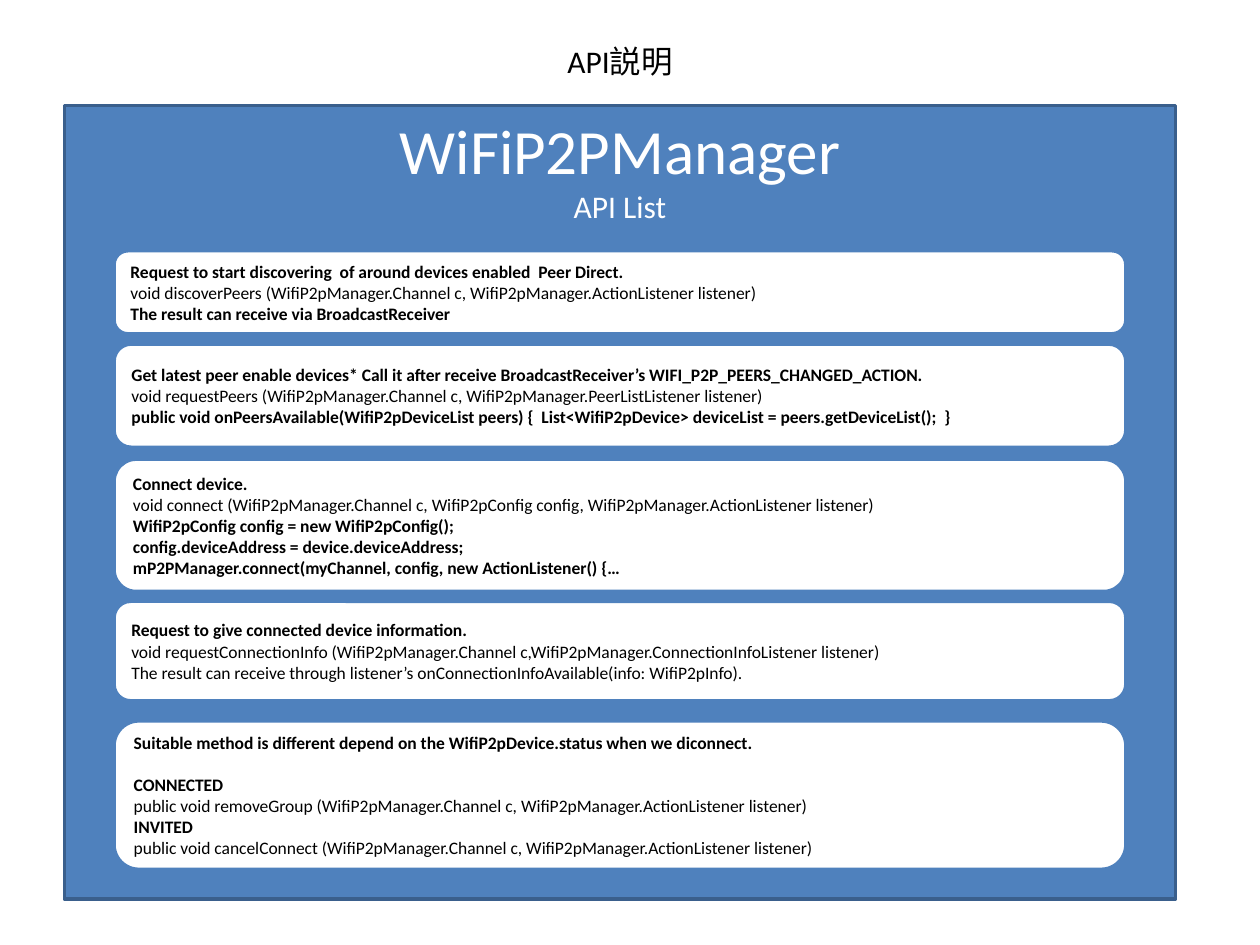
import pptx
import pptx.util
import pptx.dml.color
import pptx.enum.shapes
import pptx.enum.text

Pt = pptx.util.Pt
SHAPE = pptx.enum.shapes.MSO_SHAPE
ANCHOR = pptx.enum.text.MSO_ANCHOR
ALIGN = pptx.enum.text.PP_ALIGN

# Content
TITLE = "API説明"
PANEL_HEADINGS = [("WiFiP2PManager", 36), ("API List", 18)]

# Each card: top, height, lines of (text, bold, space before)
CARDS = [
    (143.3, 47.5, [
        ("Request to start discovering  of around devices enabled  Peer Direct.", True, 0),
        ("void discoverPeers (WifiP2pManager.Channel c, WifiP2pManager.ActionListener listener)", False, 0),
        ("The result can receive via BroadcastReceiver", True, 0),
    ]),
    (196.6, 59, [
        ("Get latest peer enable devices* Call it after receive BroadcastReceiver’s "
         "WIFI_P2P_PEERS_CHANGED_ACTION.", True, 0),
        ("void requestPeers (WifiP2pManager.Channel c, WifiP2pManager.PeerListListener listener)", False, 0),
        ("public void onPeersAvailable(WifiP2pDeviceList peers) {  List<WifiP2pDevice> deviceList = "
         "peers.getDeviceList();  }", True, 0),
    ]),
    (262.4, 75.6, [
        ("Connect device.", True, 0),
        ("void connect (WifiP2pManager.Channel c, WifiP2pConfig config, "
         "WifiP2pManager.ActionListener listener)", False, 0),
        ("WifiP2pConfig config = new WifiP2pConfig();", True, 0),
        ("config.deviceAddress = device.deviceAddress;", True, 0),
        ("mP2PManager.connect(myChannel, config, new ActionListener() {…", True, 0),
    ]),
    (343.6, 56.9, [
        ("Request to give connected device information.", True, 0),
        ("void requestConnectionInfo (WifiP2pManager.Channel c,"
         "WifiP2pManager.ConnectionInfoListener listener)", False, 0),
        ("The result can receive through listener’s onConnectionInfoAvailable(info: WifiP2pInfo).", False, 0),
    ]),
    (412, 84.8, [
        ("Suitable method is different depend on the WifiP2pDevice.status when we diconnect.", True, 0),
        ("CONNECTED", True, 12),
        ("public void removeGroup (WifiP2pManager.Channel c, WifiP2pManager.ActionListener listener)", False, 0),
        ("INVITED", True, 0),
        ("public void cancelConnect (WifiP2pManager.Channel c, WifiP2pManager.ActionListener listener)", False, 0),
    ]),
]

# Layout and colours
PANEL_LEFT, PANEL_WIDTH = 36.8, 635
CARD_LEFT, CARD_WIDTH = 65.2, 578.2
BLUE, DARK_BLUE, WHITE, BLACK = "4F81BD", "3A5F8C", "FFFFFF", "000000"


def rgb(color):
    return pptx.dml.color.RGBColor.from_string(color)


def set_all(target, values):
    for name, value in values.items():
        setattr(target, name, value)


def add_box(slide, kind, box, fill, line):
    shape = slide.shapes.add_shape(kind, *map(Pt, box))
    shape.shadow.inherit = False
    shape.fill.solid()
    shape.fill.fore_color.rgb = rgb(fill)
    shape.line.color.rgb = rgb(line)
    shape.line.width = Pt(2)
    return shape


def write(frame, lines, color, align, anchor):
    """Fill a text frame with lines of (text, size, bold, space before)."""
    set_all(frame, {"word_wrap": True, "vertical_anchor": anchor})
    for index, (text, size, bold, before) in enumerate(lines):
        paragraph = frame.add_paragraph() if index else frame.paragraphs[0]
        set_all(paragraph, {"alignment": align, "space_before": Pt(before)})
        run = paragraph.add_run()
        run.text = text
        set_all(run.font, {"name": "Calibri", "size": Pt(size), "bold": bold})
        run.font.color.rgb = rgb(color)


def main():
    deck = pptx.Presentation()
    set_all(deck, {"slide_width": Pt(720), "slide_height": Pt(540)})
    slide = deck.slides.add_slide(deck.slide_layouts[6])

    # Blue panel with its headings
    panel = add_box(slide, SHAPE.RECTANGLE, (PANEL_LEFT, 60.2, PANEL_WIDTH, 453.6), BLUE, DARK_BLUE)
    headings = [(text, size, False, 0) for text, size in PANEL_HEADINGS]
    write(panel.text_frame, headings, WHITE, ALIGN.CENTER, ANCHOR.TOP)

    # Slide title
    title = slide.shapes.add_textbox(*map(Pt, (PANEL_LEFT, 20.6, PANEL_WIDTH, 29)))
    write(title.text_frame, [(TITLE, 18, False, 0)], BLACK, ALIGN.CENTER, ANCHOR.TOP)

    # One white card per API call
    for top, height, lines in CARDS:
        card = add_box(slide, SHAPE.ROUNDED_RECTANGLE, (CARD_LEFT, top, CARD_WIDTH, height), WHITE, BLUE)
        card_lines = [(text, 10, bold, before) for text, bold, before in lines]
        write(card.text_frame, card_lines, BLACK, ALIGN.LEFT, ANCHOR.MIDDLE)

    deck.save("out.pptx")


if __name__ == "__main__":
    main()
